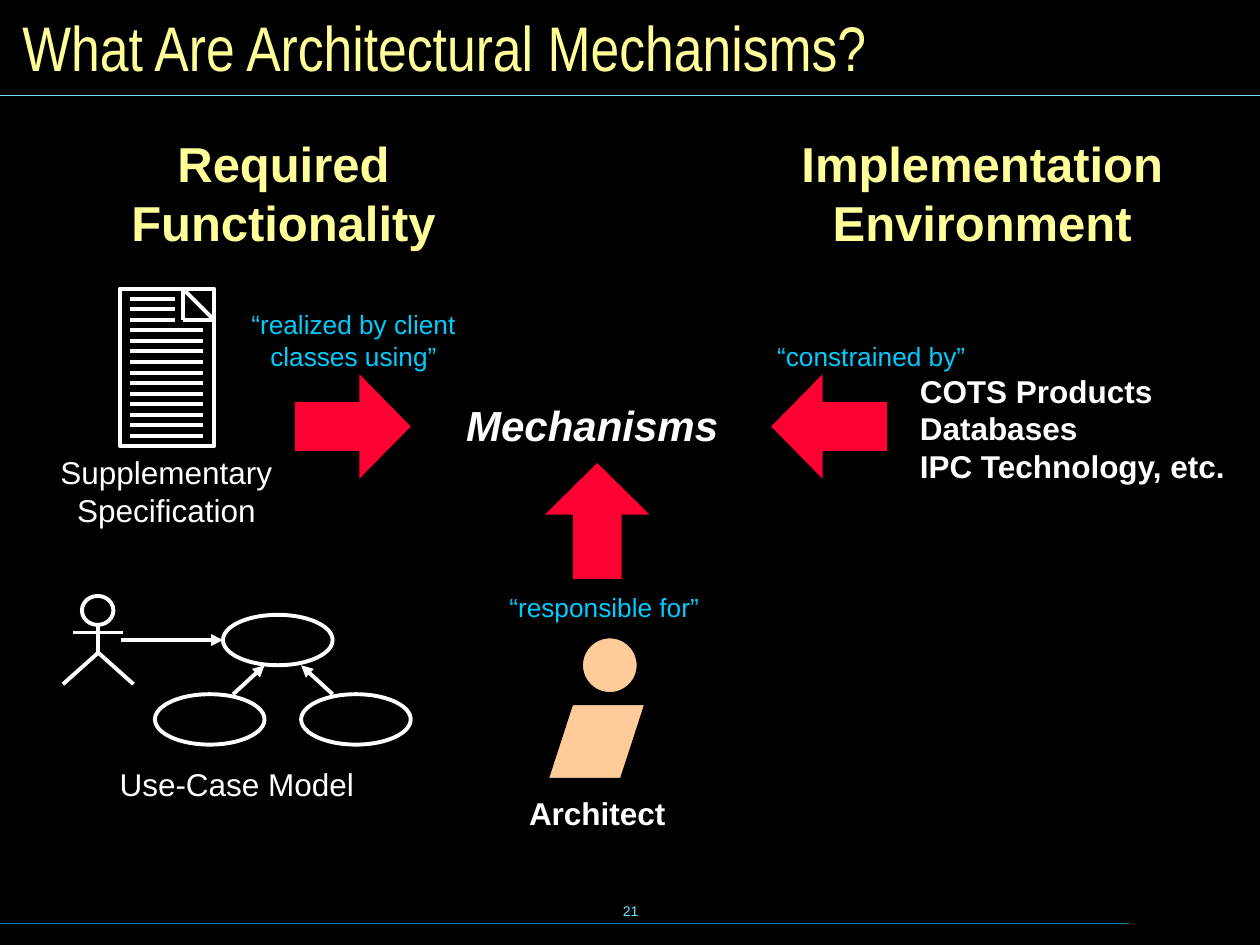
from lxml import etree
from pptx import Presentation
from pptx.dml.color import RGBColor
from pptx.enum.shapes import MSO_CONNECTOR, MSO_SHAPE
from pptx.enum.text import MSO_ANCHOR, MSO_AUTO_SIZE, PP_ALIGN
from pptx.oxml.ns import qn
from pptx.util import Inches, Pt

BLACK = RGBColor(0x00, 0x00, 0x00)
WHITE = RGBColor(0xFF, 0xFF, 0xFF)
YELLOW = RGBColor(0xFF, 0xFF, 0x99)
CYAN = RGBColor(0x00, 0xCC, 0xFF)
PALE = RGBColor(0x73, 0xE1, 0xFF)
TEAL = RGBColor(0x00, 0x7E, 0x9F)
RED = RGBColor(0xFF, 0x00, 0x33)
SKIN = RGBColor(0xFF, 0xCC, 0x99)

RECT = MSO_SHAPE.RECTANGLE
OVAL = MSO_SHAPE.OVAL
SLANT = MSO_SHAPE.PARALLELOGRAM
ARROW = MSO_SHAPE.RIGHT_ARROW
STRAIGHT = MSO_CONNECTOR.STRAIGHT
LEFT, CENTER = PP_ALIGN.LEFT, PP_ALIGN.CENTER
TOP, MIDDLE = MSO_ANCHOR.TOP, MSO_ANCHOR.MIDDLE
GROW, FIXED = MSO_AUTO_SIZE.SHAPE_TO_FIT_TEXT, MSO_AUTO_SIZE.NONE


class Board:
    font = "Arial"
    stroke = 2.25

    def __init__(self, slide):
        self.slide = slide
        self.shapes = slide.shapes
        fill = slide.background.fill
        fill.solid()
        fill.fore_color.rgb = BLACK

    def text(self, box, paras, size, color=WHITE, bold=False, italic=False,
             align=CENTER, anchor=TOP, wrap=True, pad=0.12, font=None):
        """Each paragraph is a list of lines parted by line breaks."""
        frame = self.shapes.add_textbox(*map(Inches, box)).text_frame
        frame.word_wrap = wrap
        frame.auto_size = GROW if anchor == TOP else FIXED
        frame.vertical_anchor = anchor
        frame.margin_left = frame.margin_right = Inches(pad)
        frame.margin_top = frame.margin_bottom = Inches(pad / 2)
        for i, lines in enumerate(paras):
            para = frame.add_paragraph() if i else frame.paragraphs[0]
            para.alignment = align
            for j, line in enumerate(lines):
                if j:
                    para.add_line_break()
                run = para.add_run()
                run.text = line
                run.font.name = font or self.font
                run.font.size = Pt(size)
                run.font.bold = bold
                run.font.italic = italic
                run.font.color.rgb = color

    def paint(self, shape, fill=None, line=None, width=stroke):
        shape.shadow.inherit = False
        if fill is None:
            shape.fill.background()
        else:
            shape.fill.solid()
            shape.fill.fore_color.rgb = fill
        if line is None:
            shape.line.fill.background()
        else:
            shape.line.color.rgb = line
            shape.line.width = Pt(width)

    def shape(self, kind, box, fill=None, line=None, width=stroke,
              adjust=(), turn=0):
        shape = self.shapes.add_shape(kind, *map(Inches, box))
        for i, value in enumerate(adjust):
            shape.adjustments[i] = value
        shape.rotation = turn
        self.paint(shape, fill, line, width)

    def line(self, x1, y1, x2, y2, color=WHITE, width=stroke, head=False):
        link = self.shapes.add_connector(
            STRAIGHT, *map(Inches, (x1, y1, x2, y2)))
        link.line.color.rgb = color
        link.line.width = Pt(width)
        if head:
            ln = link.line._get_or_add_ln()
            etree.SubElement(ln, qn("a:tailEnd"), type="triangle")
        etree.SubElement(link._element.spPr, qn("a:effectLst"))

    def path_line(self, points):
        points = [(Inches(x), Inches(y)) for x, y in points]
        build = self.shapes.build_freeform(*points[0], scale=1.0)
        build.add_line_segments(points[1:], close=False)
        self.paint(build.convert_to_shape(), line=WHITE)


def main():
    deck = Presentation()
    deck.slide_width, deck.slide_height = Inches(10), Inches(7.5)
    board = Board(deck.slides.add_slide(deck.slide_layouts[6]))

    # Page frame and title
    board.text((3.42, 6.98, 3.17, 0.5), [["21"]], 8, PALE,
               anchor=MIDDLE, wrap=False, pad=0.1)
    board.line(0, 7.33, 8.96, 7.33, TEAL, 0.75)
    board.line(0, 0.76, 10, 0.76, PALE, 0.75)
    board.text((0.08, 0.08, 9.84, 0.58),
               [["What Are Architectural Mechanisms?"]], 36, YELLOW,
               align=LEFT, anchor=MIDDLE, pad=0.1, font="Arial Narrow")

    # Architect
    board.text((4.08, 6.25, 1.32, 0.4), [["Architect"]], 18, bold=True,
               wrap=False, pad=0.1)
    board.shape(OVAL, (4.62, 5.06, 0.44, 0.44), SKIN, BLACK, 1)
    board.shape(SLANT, (4.35, 5.59, 0.77, 0.59), SKIN, BLACK, 1, [0.325])

    # Supplementary specification: page, folded corner, lines of writing
    board.shape(RECT, (0.95, 2.29, 0.75, 1.25), line=WHITE)
    board.line(1.45, 2.29, 1.7, 2.54)
    board.line(1.45, 2.29, 1.45, 2.54)
    board.line(1.7, 2.54, 1.45, 2.54)
    rows, first, last = 14, 2.37, 3.46
    for i in range(rows):
        y = first + i * (last - first) / (rows - 1)
        board.line(1.03, y, 1.39 if i < 3 else 1.61, y)
    board.text((0.38, 3.55, 1.88, 0.7),
               [["Supplementary"], ["Specification"]], 18,
               wrap=False, pad=0.1)

    # Use-case model: actor, cases, links
    board.shape(OVAL, (0.65, 4.73, 0.25, 0.23), line=WHITE)
    board.line(0.78, 4.96, 0.78, 5.18)
    board.line(0.58, 5.02, 0.98, 5.02)
    board.path_line([(0.5, 5.43), (0.78, 5.18), (1.06, 5.43)])
    for x, y in ((1.77, 4.88), (1.23, 5.51), (2.39, 5.51)):
        board.shape(OVAL, (x, y, 0.87, 0.4), line=WHITE)
    board.line(0.96, 5.08, 1.77, 5.08, head=True)
    board.line(1.85, 5.51, 2.1, 5.28, head=True)
    board.line(2.64, 5.51, 2.39, 5.28, head=True)
    board.text((0.85, 6.02, 2.06, 0.4), [["Use-Case Model"]], 18,
               wrap=False, pad=0.1)

    # Arrows towards the mechanisms
    for x, y, turn in ((2.34, 2.97, 0), (6.12, 2.97, 180), (4.28, 3.72, 270)):
        board.shape(ARROW, (x, y, 0.92, 0.83), RED,
                    adjust=(0.467, 0.492), turn=turn)

    # Centre and environment
    board.text((3.2, 3.11, 3, 0.52), [["Mechanisms"]], 24,
               bold=True, italic=True)
    board.text((7.18, 2.89, 2.79, 1.02),
               [["COTS Products", "Databases", "IPC Technology, etc."]], 18,
               bold=True, align=LEFT)

    # Arrow labels
    for x, y, high, label in (
            (1.64, 2.39, 0.62, "“realized by client classes using”"),
            (3.63, 4.63, 0.37, "“responsible for”"),
            (5.75, 2.64, 0.37, "“constrained by”")):
        board.text((x, y, 2.33, high), [[label]], 15, CYAN)

    # Column headings
    for x, wide, label in ((0.75, 3, "Required Functionality"),
                           (6.17, 3.25, "Implementation Environment")):
        board.text((x, 1, wide, 1.05), [[label]], 28, YELLOW, bold=True)

    deck.save("out.pptx")


if __name__ == "__main__":
    main()
